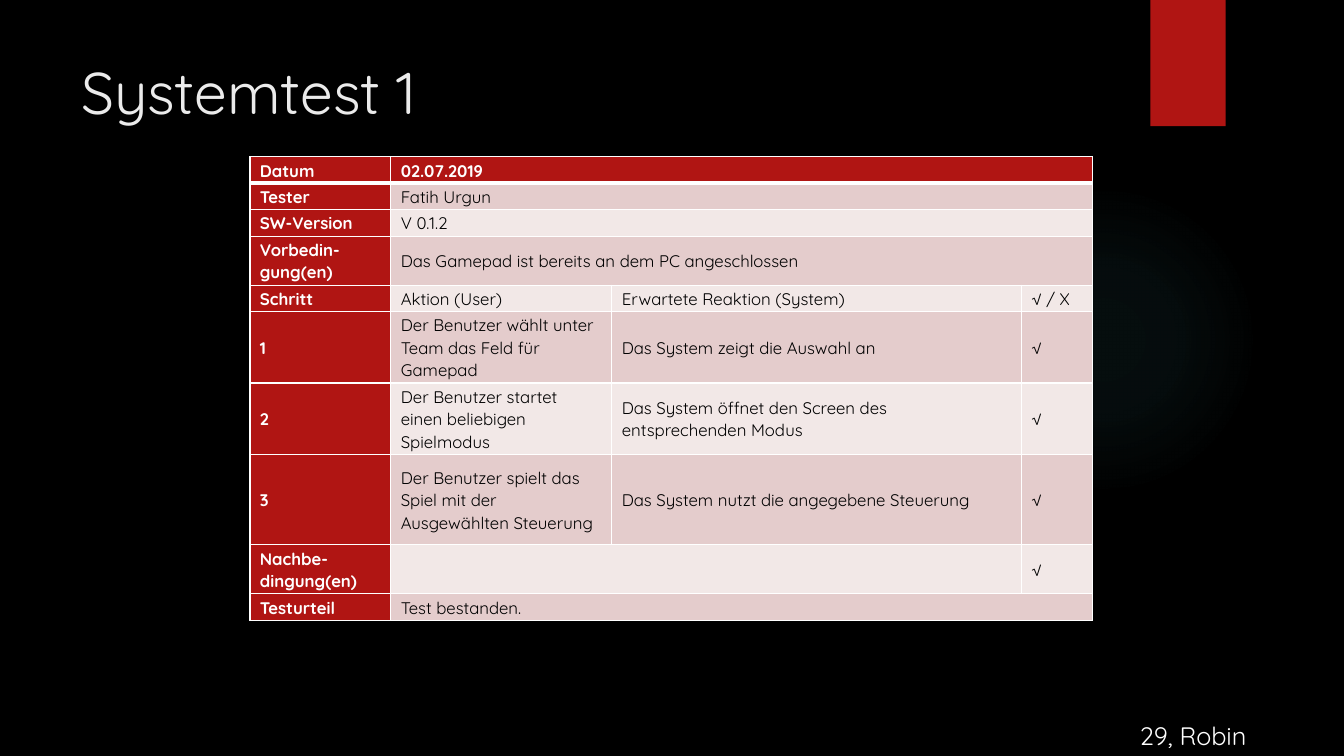
import dataclasses

import pptx
import pptx.dml.color
import pptx.enum.shapes
import pptx.enum.text
import pptx.oxml
import pptx.oxml.ns
import pptx.util

Cm = pptx.util.Cm
Pt = pptx.util.Pt
MSO_SHAPE = pptx.enum.shapes.MSO_SHAPE
ANCHOR = pptx.enum.text.MSO_ANCHOR
NS = pptx.oxml.ns.nsdecls("a")


@dataclasses.dataclass(frozen=True)
class Theme:
    font: str = "Quicksand"
    background: str = "000000"
    accent: str = "B01513"
    glow: str = "50B9C1"
    title: str = "EBEBEB"
    light: str = "FFFFFF"
    dark: str = "000000"
    bands: tuple = ("F2E8E7", "E4CCCC")
    title_size: int = 42
    footer_size: int = 18
    table_size: int = 12


THEME = Theme()
COLUMNS = (3.55, 5.57, 10.32, 1.8)
# Each row: height in cm, then its cells; None continues the cell to its left.
ROWS = (
    (0.64, "Datum", "02.07.2019", None, None),
    (0.64, "Tester", "Fatih Urgun", None, None),
    (0.64, "SW-Version", "V 0.1.2", None, None),
    (1.2, "Vorbedin-gung(en)", "Das Gamepad ist bereits an dem PC angeschlossen", None, None),
    (0.64, "Schritt", "Aktion (User)", "Erwartete Reaktion (System)", "√ / X"),
    (1.76, "1", "Der Benutzer wählt unter Team das Feld für Gamepad",
     "Das System zeigt die Auswahl an", "√"),
    (1.76, "2", "Der Benutzer startet einen beliebigen Spielmodus",
     "Das System öffnet den Screen des entsprechenden Modus", "√"),
    (2.28, "3", "Der Benutzer spielt das Spiel mit der Ausgewählten Steuerung",
     "Das System nutzt die angegebene Steuerung", "√"),
    (1.2, "Nachbe-dingung(en)", "", None, "√"),
    (0.64, "Testurteil", "Test bestanden.", None, None),
)


def rgb(color):
    return pptx.dml.color.RGBColor.from_string(color)


def set_text(tf, text, size, color, bold=False):
    tf.text = text
    p = tf.paragraphs[0]
    p.alignment = pptx.enum.text.PP_ALIGN.LEFT
    for font in [p.font] + [r.font for r in p.runs]:
        font.name = THEME.font
        font.size = Pt(size)
        font.bold = bold
        font.color.rgb = rgb(color)
    return p


def add_plain_shape(slide, kind, left, top, width, height, color):
    sp = slide.shapes.add_shape(kind, Cm(left), Cm(top), Cm(width), Cm(height))
    sp.shadow.inherit = False
    sp.line.fill.background()
    sp.fill.solid()
    sp.fill.fore_color.rgb = rgb(color)
    return sp


def add_glow(slide):
    """Add a circle that fades out towards its edge."""
    sp = add_plain_shape(slide, MSO_SHAPE.OVAL, 23.9, 4.65, 7.82, 7.82, THEME.glow)
    stops = "".join(
        f'<a:gs pos="{pos * 1000}"><a:srgbClr val="{THEME.glow}">'
        f'<a:alpha val="{alpha * 1000}"/></a:srgbClr></a:gs>'
        for pos, alpha in ((0, 7), (36, 6), (69, 0)))
    gradient = pptx.oxml.parse_xml(
        f'<a:gradFill {NS}><a:gsLst>{stops}</a:gsLst><a:path path="circle">'
        '<a:fillToRect l="50000" t="50000" r="50000" b="50000"/></a:path></a:gradFill>')
    sp_pr = sp.element.spPr
    sp_pr.replace(sp_pr.find(pptx.oxml.ns.qn("a:solidFill")), gradient)


def format_title(slide, text):
    title = slide.shapes.title
    title.left, title.top = Cm(1.8), Cm(1.27)
    title.width, title.height = Cm(26.14), Cm(3.89)
    tf = title.text_frame
    tf.vertical_anchor = ANCHOR.TOP
    tf.auto_size = pptx.enum.text.MSO_AUTO_SIZE.NONE
    set_text(tf, text, THEME.title_size, THEME.title)


def set_borders(cell, top, bottom):
    tc_pr = cell._tc.get_or_add_tcPr()
    for side, width in (("L", 1), ("R", 1), ("T", top), ("B", bottom)):
        tc_pr.append(pptx.oxml.parse_xml(
            f'<a:ln{side} {NS} w="{Pt(width)}"><a:solidFill>'
            f'<a:srgbClr val="{THEME.light}"/></a:solidFill></a:ln{side}>'))


def format_cell(cell, text, row, col):
    strong = row == 0 or col == 0
    set_borders(cell, 3 if row == 1 else 1, 3 if row == 0 else 1)
    cell.fill.solid()
    cell.fill.fore_color.rgb = rgb(THEME.accent if strong else THEME.bands[row % 2])
    cell.vertical_anchor = ANCHOR.MIDDLE
    cell.margin_left = cell.margin_right = Cm(0.25)
    cell.margin_top = cell.margin_bottom = Cm(0.05)
    p = set_text(cell.text_frame, text, THEME.table_size,
                 THEME.light if strong else THEME.dark, strong)
    p.line_spacing = 1.07


def add_test_table(slide):
    height = sum(row[0] for row in ROWS)
    frame = slide.shapes.add_table(len(ROWS), len(COLUMNS), Cm(6.3), Cm(3.95),
                                   Cm(sum(COLUMNS)), Cm(height))
    table = frame.table
    for column, width in zip(table.columns, COLUMNS):
        column.width = Cm(width)
    for i, (row_height, *texts) in enumerate(ROWS):
        table.rows[i].height = Cm(row_height)
        for j, text in enumerate(texts):
            format_cell(table.cell(i, j), text or "", i, j)
        if None in texts:
            last = len(texts) - 1 - texts[::-1].index(None)
            table.cell(i, 1).merge(table.cell(i, last))


def add_footer(slide, text):
    box = slide.shapes.add_textbox(Cm(28.47), Cm(18.03), Cm(5.4), Cm(1.02))
    box.text_frame.word_wrap = True
    set_text(box.text_frame, text, THEME.footer_size, THEME.light)


def main():
    prs = pptx.Presentation()
    prs.slide_width, prs.slide_height = Cm(33.87), Cm(19.05)
    slide = prs.slides.add_slide(prs.slide_layouts.get_by_name("Title Only"))
    slide.background.fill.solid()
    slide.background.fill.fore_color.rgb = rgb(THEME.background)
    add_glow(slide)
    add_plain_shape(slide, MSO_SHAPE.RECTANGLE, 28.99, 0, 1.9, 3.18, THEME.accent)
    format_title(slide, "Systemtest 1")
    add_test_table(slide)
    add_footer(slide, "29, Robin")
    prs.save("out.pptx")


if __name__ == "__main__":
    main()
